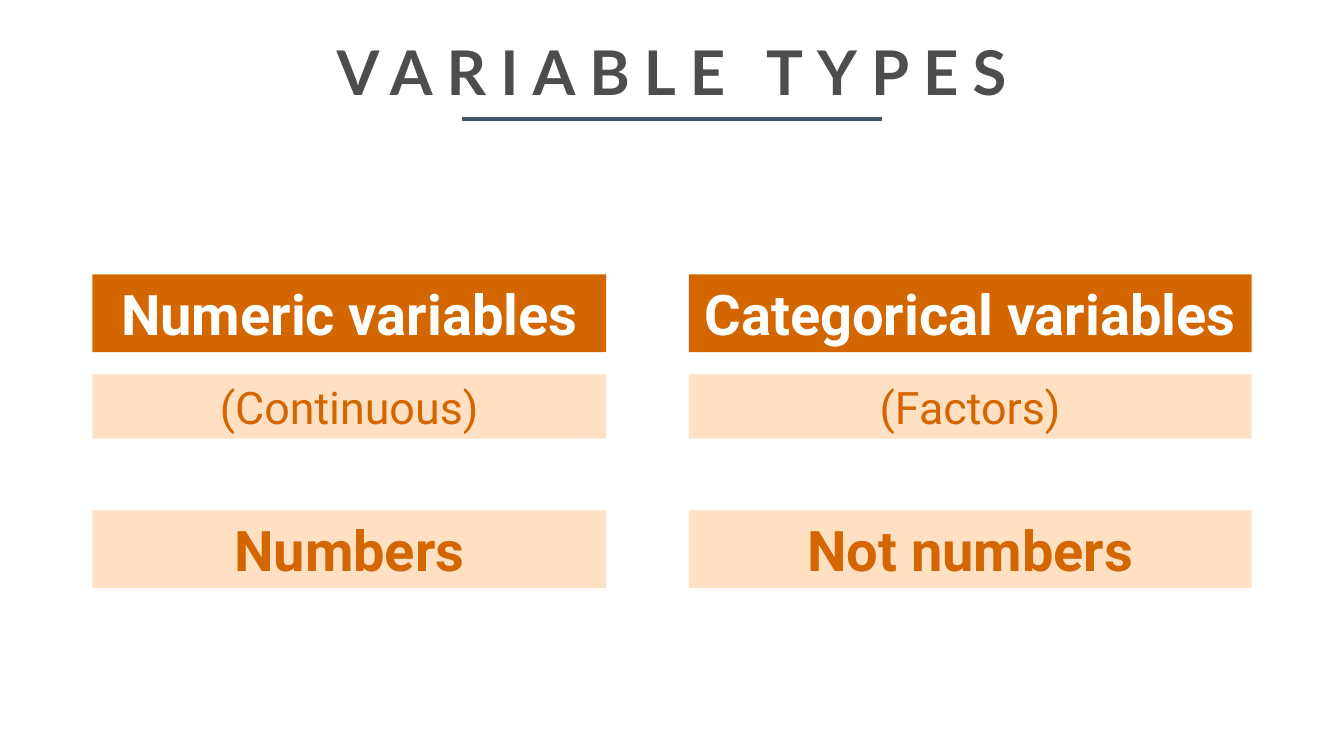
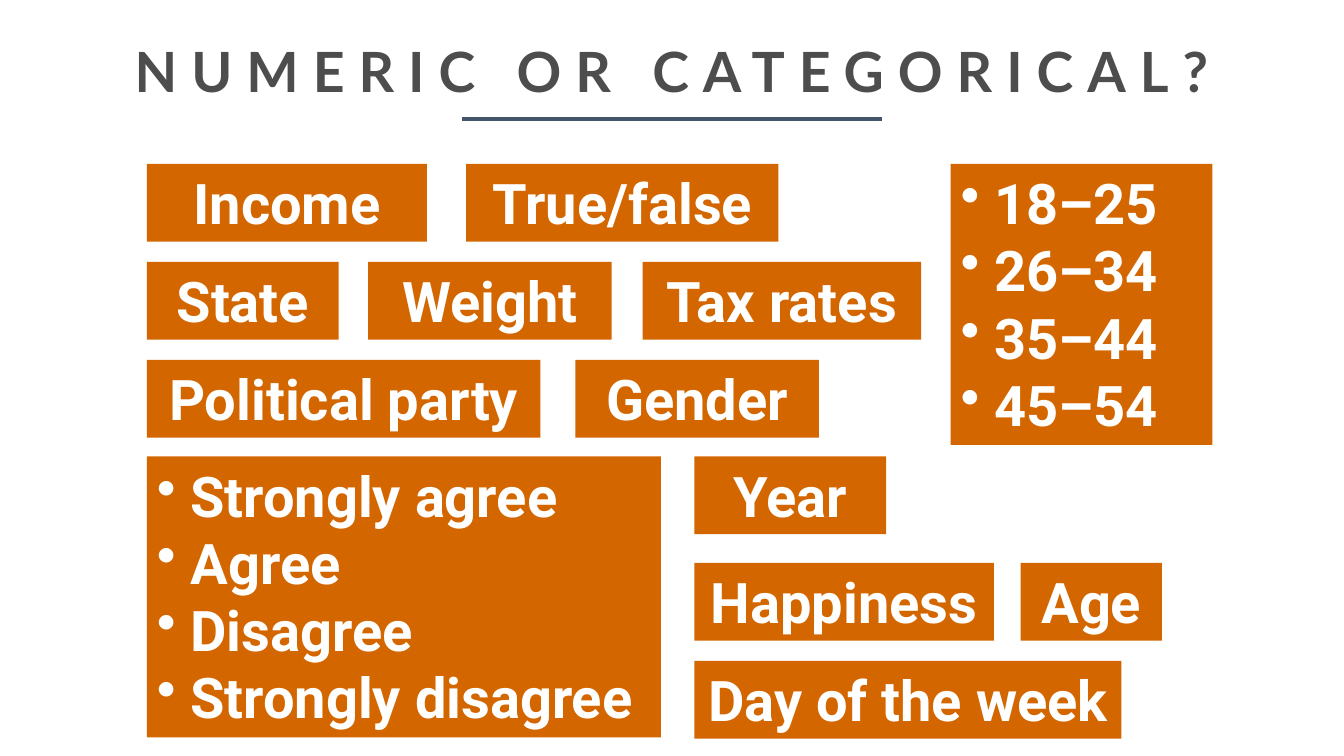
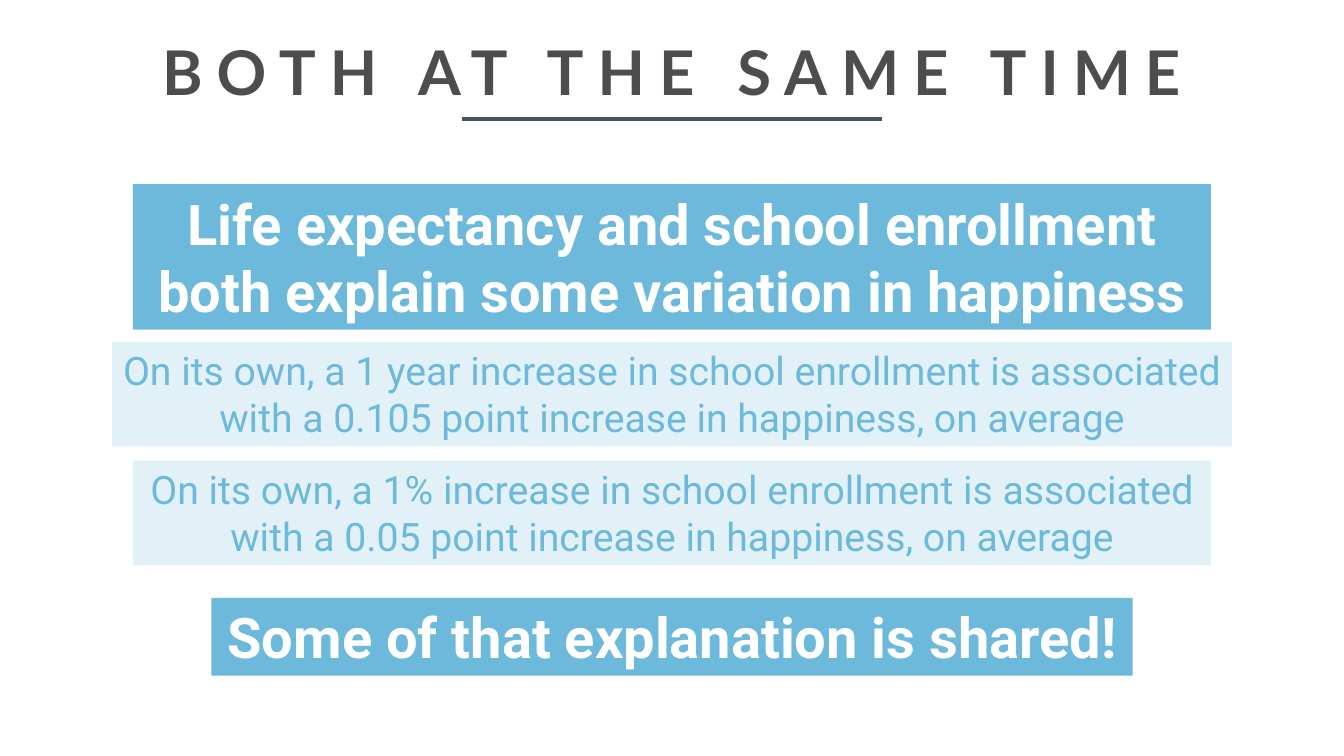
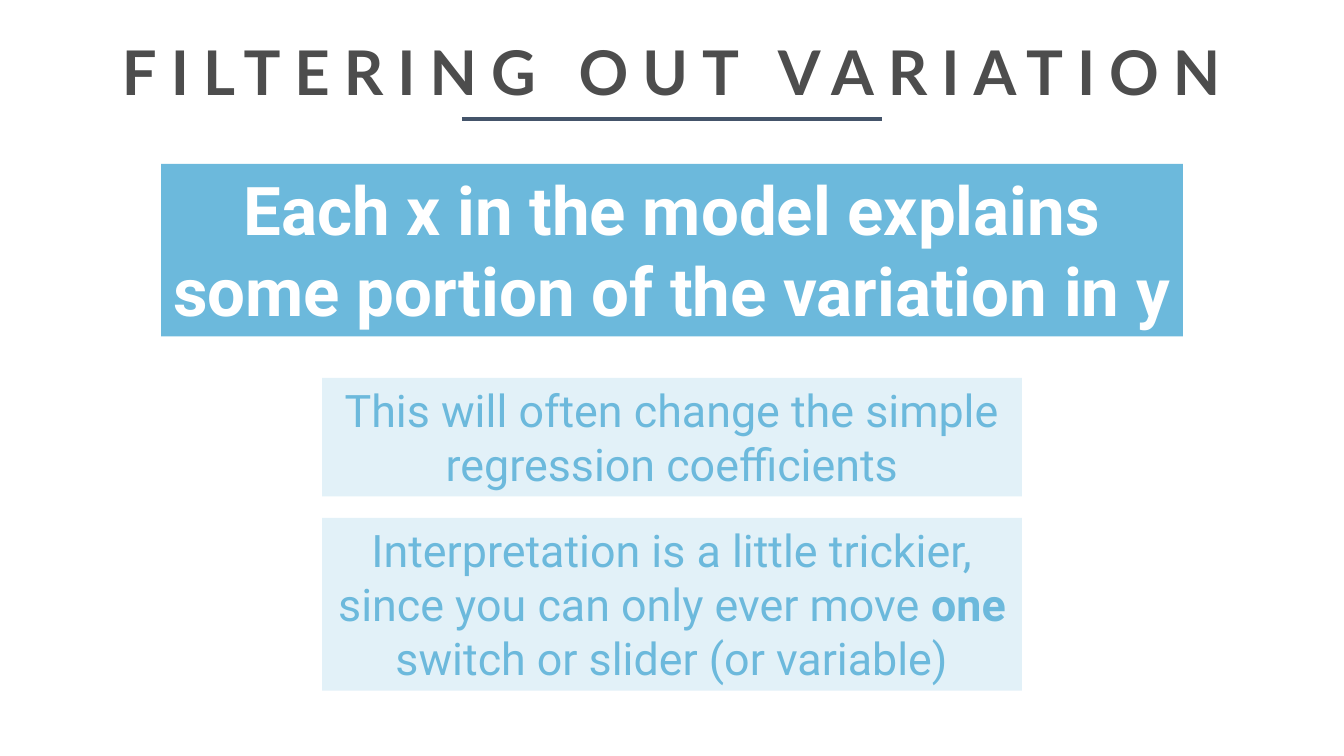
from lxml import etree
from pptx import Presentation
from pptx.dml.color import RGBColor
from pptx.enum import shapes, text
from pptx.oxml import ns
from pptx.util import Pt

HUES = {
    "title": "4D4D4D", "rule": "44546A", "white": "FFFFFF",
    "orange": "D46600", "peach": "FFE0C3",
    "blue": "6CB9DC", "ice": "E2F1F8",
}
# fill, ink, size, bold
LOOKS = {
    "main": ("orange", "white", 40, True),
    "note": ("peach", "orange", 32, False),
    "soft": ("peach", "orange", 40, True),
    "huge": ("blue", "white", 48, True),
    "head": ("blue", "white", 40, True),
    "body": ("ice", "blue", 32, False),
    "small": ("ice", "blue", 28, False),
}
WIDE, HIGH = 960, 540
RISE, INSET, DENT = 1.21, 7.2, 24  # line height factor, vertical insets, bullet indent

deck = Presentation()
deck.slide_width, deck.slide_height = Pt(WIDE), Pt(HIGH)


def start(head, size=44):
    """Add a slide with its spaced title and the rule below it."""
    page = deck.slides.add_slide(deck.slide_layouts[5])
    title = page.shapes.title
    title.left, title.top, title.width, title.height = Pt(66), Pt(12), Pt(828), Pt(72)
    frame = title.text_frame
    frame.text = head
    frame.auto_size = text.MSO_AUTO_SIZE.NONE
    frame.vertical_anchor = text.MSO_ANCHOR.MIDDLE
    para = frame.paragraphs[0]
    para.alignment, para.line_spacing = text.PP_ALIGN.CENTER, 1.1
    font = para.runs[0].font
    font.name, font.size, font.bold = "Lato", Pt(size), True
    font.color.rgb = RGBColor.from_string(HUES["title"])
    para.runs[0]._r.get_or_add_rPr().set("spc", "1000")

    rule = page.shapes.add_connector(
        shapes.MSO_CONNECTOR.STRAIGHT, Pt(330), Pt(85), Pt(630), Pt(85))
    rule.line.color.rgb = RGBColor.from_string(HUES["rule"])
    rule.line.width = Pt(3)
    etree.SubElement(rule._element.spPr, ns.qn("a:effectLst"))
    return page


def box(page, look, words, top, width, left=None, lines=1):
    """Add a filled box, centred if left is None; a list gets bullets, *stars* mean bold."""
    fill, ink, size, bold = LOOKS[look]
    if isinstance(words, list):
        lines = len(words)
    if left is None:
        left = (WIDE - width) / 2
    shape = page.shapes.add_shape(
        shapes.MSO_SHAPE.RECTANGLE, Pt(left), Pt(top), Pt(width),
        Pt(lines * size * RISE + INSET))
    shape.shadow.inherit = False
    shape.fill.solid()
    shape.fill.fore_color.rgb = RGBColor.from_string(HUES[fill])
    shape.line.fill.background()
    frame = shape.text_frame
    frame.word_wrap = True
    frame.auto_size = text.MSO_AUTO_SIZE.SHAPE_TO_FIT_TEXT
    frame.vertical_anchor = text.MSO_ANCHOR.TOP
    frame.text = "\n".join(words) if isinstance(words, list) else ""
    for para in frame.paragraphs:
        if isinstance(words, list):
            para.alignment = text.PP_ALIGN.LEFT
            props = para._p.get_or_add_pPr()
            props.set("marL", str(Pt(DENT)))
            props.set("indent", str(-Pt(DENT)))
            etree.SubElement(props, ns.qn("a:buChar")).set("char", "•")
        else:
            para.alignment = text.PP_ALIGN.CENTER
            for part in words.split("*"):
                para.add_run().text = part
        for spot, run in enumerate(para.runs):
            font = run.font
            font.name, font.size = "Roboto", Pt(size)
            font.bold = bold or spot % 2 == 1
            font.color.rgb = RGBColor.from_string(HUES[ink])


# Variable types
page = start("VARIABLE TYPES")
for left, width, names in (
    (66, 367, ("Numeric variables", "(Continuous)", "Numbers")),
    (492, 402, ("Categorical variables", "(Factors)", "Not numbers")),
):
    for look, top, name in zip(("main", "note", "soft"), (196, 267.5, 364.5), names):
        box(page, look, name, top, width, left)

# Numeric or categorical?
page = start("NUMERIC OR CATEGORICAL?", 39.6)
ROWS = (
    (117, (("Income", 105, 200), ("True/false", 333, 223),
           (["18–25", "26–34", "35–44", "45–54"], 679, 187))),
    (187, (("State", 105, 137), ("Weight", 263, 174), ("Tax rates", 459, 199))),
    (257, (("Political party", 105, 281), ("Gender", 411, 174))),
    (326, ((["Strongly agree", "Agree", "Disagree", "Strongly disagree"], 105, 367),
           ("Year", 496, 137))),
    (402, (("Happiness", 496, 214), ("Age", 729, 101))),
    (472, (("Day of the week", 496, 305),)),
)
for top, row in ROWS:
    for words, left, width in row:
        box(page, "main", words, top, width, left)

# Both at the same time
page = start("BOTH AT THE SAME TIME")
box(page, "head", "Life expectancy and school enrollment "
    "both explain some variation in happiness", 131.5, 770, lines=2)
for rise, gain, top, width in (("1 year", "0.105", 244, 800), ("1%", "0.05", 329, 770)):
    box(page, "small", f"On its own, a {rise} increase in school enrollment is associated "
        f"with a {gain} point increase in happiness, on average", top, width, lines=2)
box(page, "head", "Some of that explanation is shared!", 427, 658)

# Filtering out variation
page = start("FILTERING OUT VARIATION")
box(page, "huge", "Each x in the model explains "
    "some portion of the variation in y", 117, 730, lines=2)
box(page, "body", "This will often change the simple regression coefficients",
    270, 500, lines=2)
box(page, "body", "Interpretation is a little trickier, since you can only ever move "
    "*one* switch or slider (or variable)", 370, 500, lines=3)

deck.save("out.pptx")
